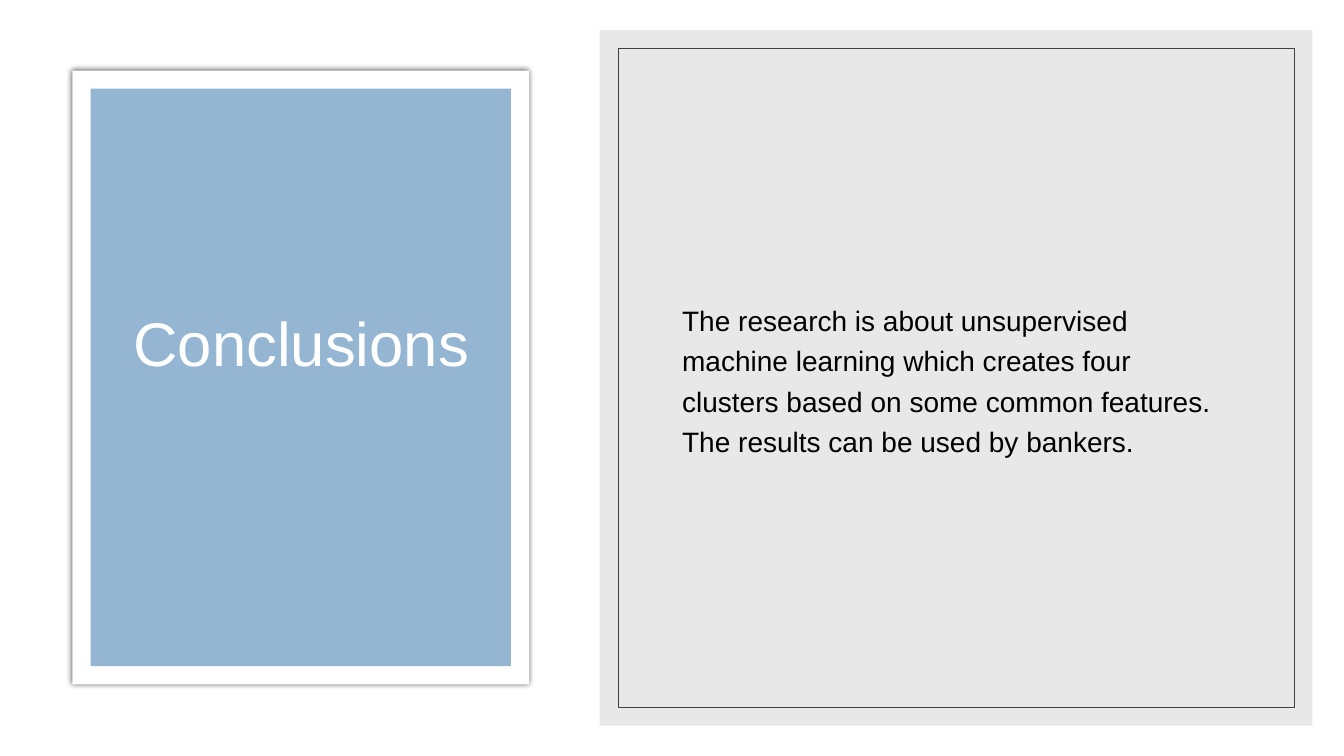
from dataclasses import dataclass

from lxml import etree
from pptx import Presentation
from pptx.dml.color import RGBColor
from pptx.enum.shapes import MSO_SHAPE
from pptx.enum.text import MSO_ANCHOR, MSO_AUTO_SIZE, PP_ALIGN
from pptx.oxml.ns import qn
from pptx.util import Pt

RECT = MSO_SHAPE.RECTANGLE
MIDDLE = MSO_ANCHOR.MIDDLE
NO_AUTOFIT = MSO_AUTO_SIZE.NONE
LEFT, CENTER = PP_ALIGN.LEFT, PP_ALIGN.CENTER

SLIDE_W, SLIDE_H = 960, 540
FONT = "Arial"
INSET = 13
TITLE_LIFT = 45.5
BODY = ("The research is about unsupervised machine learning which creates four "
        "clusters based on some common features. The results can be used by bankers.")


@dataclass(frozen=True)
class Box:
    left: float
    top: float
    width: float
    height: float

    def inset(self, d: float) -> "Box":
        return Box(self.left + d, self.top + d, self.width - 2 * d, self.height - 2 * d)

    def lengths(self) -> tuple:
        return Pt(self.left), Pt(self.top), Pt(self.width), Pt(self.height)


@dataclass(frozen=True)
class Panel:
    box: Box
    fill: str = ""
    opacity: int = 100
    line: str = ""
    shadow: bool = False


CARD = Box(51.8, 50.4, 326.2, 438.5)
SIDE = Box(428.4, 21.6, 509, 496.8)
TITLE_BOX = Box(77.8, 93.6, 275, 353.5)
BODY_BOX = Box(480.2, 73.4, 407.5, 392.4)

PANELS = [
    Panel(Box(0, 0, SLIDE_W, SLIDE_H), fill="FFFFFF"),
    Panel(CARD, fill="FFFFFF", shadow=True),
    Panel(CARD.inset(INSET), fill="94B6D2"),
    Panel(SIDE, fill="D9D9D9", opacity=60),
    Panel(SIDE.inset(INSET), line="404040"),
]


def rgb(value: str) -> RGBColor:
    return RGBColor.from_string(value)


def set_alpha(color_element, percent: int) -> None:
    etree.SubElement(color_element, qn("a:alpha"), val=str(percent * 1000))


def add_glow_shadow(sp) -> None:
    """Put a soft, centred black shadow around the shape."""
    effects = sp.element.spPr.find(qn("a:effectLst"))
    shadow = etree.SubElement(effects, qn("a:outerShdw"), blurRad=str(Pt(4)),
                              dist="0", dir="0", algn="ctr", rotWithShape="0")
    set_alpha(etree.SubElement(shadow, qn("a:srgbClr"), val="000000"), 66)


def draw_panel(s, panel: Panel) -> None:
    sp = s.shapes.add_shape(RECT, *panel.box.lengths())
    sp.shadow.inherit = False
    if panel.fill:
        sp.fill.solid()
        sp.fill.fore_color.rgb = rgb(panel.fill)
        if panel.opacity < 100:
            set_alpha(sp.element.spPr.find(".//" + qn("a:srgbClr")), panel.opacity)
    else:
        sp.fill.background()
    if panel.line:
        sp.line.color.rgb = rgb(panel.line)
        sp.line.width = Pt(0.5)
    else:
        sp.line.fill.background()
    if panel.shadow:
        add_glow_shadow(sp)


def write_text(sp, text: str, size: float, color: str, align, spacing: float) -> None:
    tf = sp.text_frame
    tf.word_wrap = True
    tf.auto_size = NO_AUTOFIT
    tf.vertical_anchor = MIDDLE
    p = tf.paragraphs[0]
    p.alignment = align
    p.line_spacing = spacing
    p.space_before = Pt(0)
    r = p.add_run()
    r.text = text
    r.font.name = FONT
    r.font.size = Pt(size)
    r.font.color.rgb = rgb(color)


def main() -> None:
    prs = Presentation()
    prs.slide_width, prs.slide_height = Pt(SLIDE_W), Pt(SLIDE_H)
    s = prs.slides.add_slide(prs.slide_layouts.get_by_name("Title Only"))

    for panel in PANELS:
        draw_panel(s, panel)

    title = s.shapes.title
    title.left, title.top, title.width, title.height = TITLE_BOX.lengths()
    title.element.getparent().append(title.element)
    write_text(title, "Conclusions", 44, "FFFFFF", CENTER, 0.9)
    title.text_frame.margin_bottom = Pt(3.6 + TITLE_LIFT)

    body = s.shapes.add_textbox(*BODY_BOX.lengths())
    write_text(body, BODY, 20, "000000", LEFT, 1.2)

    prs.save("out.pptx")


if __name__ == "__main__":
    main()
